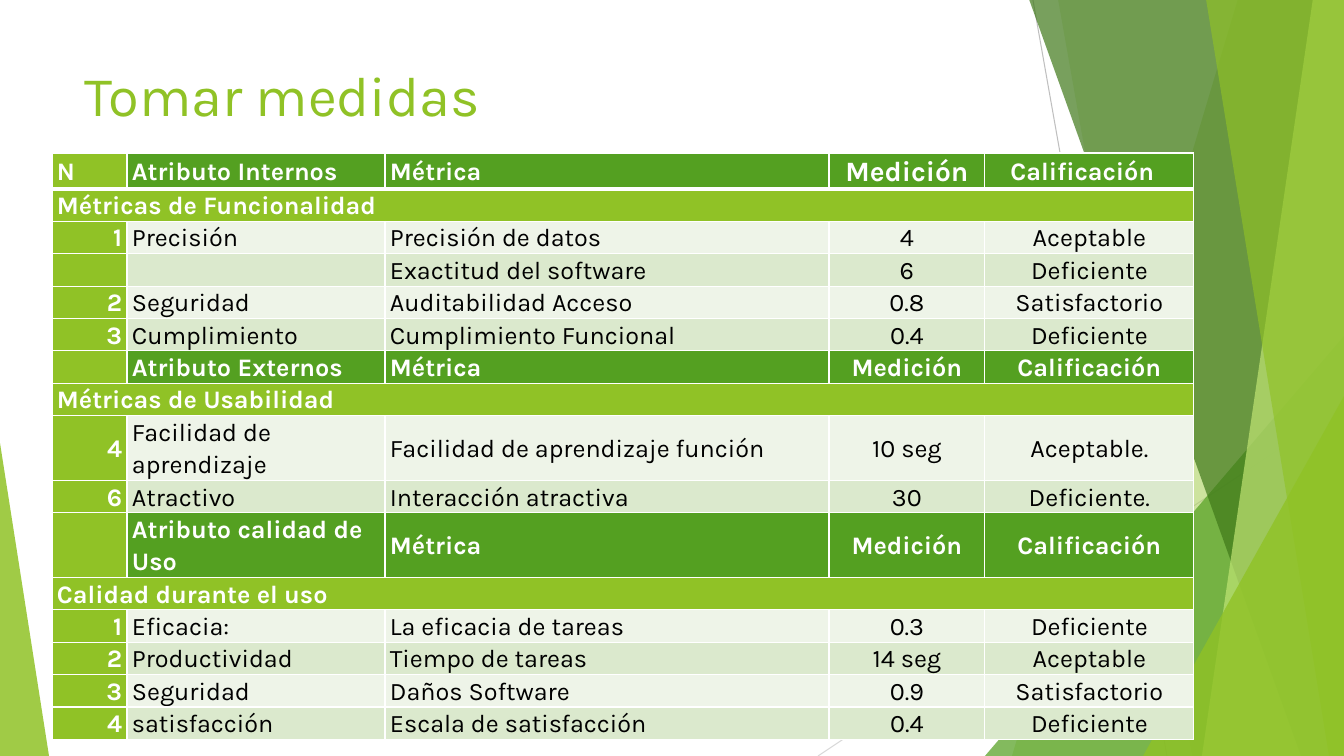
from dataclasses import dataclass
from typing import NamedTuple

from lxml.etree import SubElement as Sub
from pptx import Presentation
from pptx.dml.color import RGBColor as Rgb
from pptx.enum.shapes import MSO_CONNECTOR as Conn, MSO_SHAPE as Kind
from pptx.enum.text import MSO_ANCHOR as Anchor, PP_ALIGN as Align
from pptx.oxml.ns import qn
from pptx.util import Pt

SCALE = 914400 / 100.8
WIDE, HIGH = 1344, 756


@dataclass(frozen=True)
class Theme:
    font: str = "Karla"
    lime: str = "90C226"
    green: str = "54A021"
    moss: str = "3F7819"
    pale: str = "C0E474"
    white: str = "FFFFFF"
    black: str = "000000"
    bands: tuple[str, str] = ("EEF4E8", "DBE9CD")
    title: int = 40
    lead: int = 20
    body: int = 18


T = Theme()


class Ray(NamedTuple):
    start: tuple[int, int]
    end: tuple[int, int]
    color: str


class Strip(NamedTuple):
    """Area from a slanted left edge to the right side of the slide."""
    top: int
    foot: int
    color: str
    alpha: int


class Wedge(NamedTuple):
    box: tuple[int, int, int, int]
    tip: int
    color: str
    alpha: int


class Row(NamedTuple):
    kind: str
    cells: tuple[str, ...]
    high: int = 29


RAYS = (Ray((1033, 0), (1167, HIGH), "BFBFBF"),
        Ray((WIDE, 406), (818, HIGH), "D9D9D9"))

DECOR = (
    Strip(1238, 1012, T.lime, 30),
    Strip(1058, 1192, T.lime, 20),
    Wedge((985, 336, 359, 420), 1, T.green, 72),
    Strip(1029, 1301, T.moss, 70),
    Strip(1313, 1202, T.pale, 70),
    Strip(1206, 1329, T.lime, 65),
    Wedge((1143, 396, 201, 360), 1, T.lime, 80),
    Wedge((0, 443, 49, 313), 0, T.lime, 85),
)

HEADS = ("Métrica", "Medición", "Calificación")
COLS = (75, 258, 444, 156, 209)
ALIGNS = (Align.RIGHT, Align.LEFT, Align.LEFT, Align.CENTER, Align.CENTER)
ROWS = (
    Row("head", ("N", "Atributo Internos", *HEADS)),
    Row("part", ("Métricas de Funcionalidad",)),
    Row("data", ("1", "Precisión", "Precisión de datos", "4", "Aceptable")),
    Row("data", ("", "", "Exactitud del software", "6", "Deficiente")),
    Row("data", ("2", "Seguridad", "Auditabilidad Acceso", "0.8", "Satisfactorio")),
    Row("data", ("3", "Cumplimiento", "Cumplimiento Funcional", "0.4", "Deficiente")),
    Row("head", ("", "Atributo Externos", *HEADS)),
    Row("part", ("Métricas de Usabilidad",)),
    Row("data", ("4", "Facilidad de aprendizaje", "Facilidad de aprendizaje función",
                 "10 seg", "Aceptable."), 60),
    Row("data", ("6", "Atractivo", "Interacción atractiva", "30", "Deficiente."), 32),
    Row("head", ("", "Atributo calidad de Uso", *HEADS), 34),
    Row("part", ("Calidad durante el uso",)),
    Row("data", ("1", "Eficacia:", "La eficacia de tareas", "0.3", "Deficiente")),
    Row("data", ("2", "Productividad", "Tiempo de tareas", "14 seg", "Aceptable")),
    Row("data", ("3", "Seguridad", "Daños Software", "0.9", "Satisfactorio")),
    Row("data", ("4", "satisfacción", "Escala de satisfacción", "0.4", "Deficiente")),
)


def px(n: float) -> int:
    return round(n * SCALE)


def write(frame, text: str, *, size: int = T.body, color: str = T.black,
          bold: bool = False, align=Align.LEFT, lines: float = 1.0, after: int = 0) -> None:
    if not text:
        return
    para = frame.paragraphs[0]
    para.alignment, para.line_spacing, para.space_after = align, lines, Pt(after)
    run = para.add_run()
    run.text = text
    font = run.font
    font.name, font.size, font.bold = T.font, Pt(size), bold
    font.color.rgb = Rgb.from_string(color)


def paint(shape, color: str, alpha: int) -> None:
    shape.shadow.inherit = False
    shape.fill.solid()
    shape.fill.fore_color.rgb = Rgb.from_string(color)
    tint = shape.element.spPr.find(".//" + qn("a:srgbClr"))
    Sub(tint, qn("a:alpha"), val=str(alpha * 1000))
    shape.line.fill.background()


def add_ray(shapes, ray: Ray) -> None:
    line = shapes.add_connector(Conn.STRAIGHT, *map(px, ray.start + ray.end))
    line.line.color.rgb = Rgb.from_string(ray.color)
    line.line.width = Pt(0.75)
    Sub(line.element.spPr, qn("a:effectLst"))


def add_strip(shapes, strip: Strip) -> None:
    form = shapes.build_freeform(strip.top, -1, scale=SCALE)
    form.add_line_segments([(WIDE, -1), (WIDE, HIGH), (strip.foot, HIGH)], close=True)
    paint(form.convert_to_shape(), strip.color, strip.alpha)


def add_wedge(shapes, wedge: Wedge) -> None:
    shape = shapes.add_shape(Kind.ISOSCELES_TRIANGLE, *map(px, wedge.box))
    shape.adjustments[0] = wedge.tip
    paint(shape, wedge.color, wedge.alpha)


def style(cell, fill: str, foot: int = 1, right: int = 5) -> None:
    cell.margin_left, cell.margin_right = px(5), px(right)
    cell.margin_top = cell.margin_bottom = 0
    cell.vertical_anchor = Anchor.MIDDLE
    props = cell._tc.get_or_add_tcPr()
    for side, width in (("L", 1), ("R", 1), ("T", 1), ("B", foot)):
        edge = Sub(props, qn(f"a:ln{side}"), w=str(Pt(width)))
        Sub(Sub(edge, qn("a:solidFill")), qn("a:srgbClr"), val=T.white)
    cell.fill.solid()
    cell.fill.fore_color.rgb = Rgb.from_string(fill)


def add_grid(shapes) -> None:
    high = sum(row.high for row in ROWS)
    grid = shapes.add_table(len(ROWS), len(COLS), px(52), px(153),
                            px(sum(COLS)), px(high)).table
    grid.first_row = grid.horz_banding = False
    for col, wide in zip(grid.columns, COLS):
        col.width = px(wide)
    for r, row in enumerate(ROWS):
        grid.rows[r].height = px(row.high)
        if row.kind == "part":
            grid.cell(r, 0).merge(grid.cell(r, len(COLS) - 1))
        main = T.green if row.kind == "head" else T.bands[r % 2]
        for c in range(len(COLS)):
            cell = grid.cell(r, c)
            lime = c == 0 or row.kind == "part"
            last = r == 0 and c == len(COLS) - 1
            style(cell, T.lime if lime else main, 3 if r == 0 else 1, 19 if last else 5)
            if c < len(row.cells):
                bold = lime or row.kind == "head"
                left = c == 0 and row.kind != "data"
                write(cell.text_frame, row.cells[c], bold=bold,
                      size=T.lead if (r, c) == (0, 3) else T.body,
                      color=T.white if bold else T.black,
                      align=Align.LEFT if left else ALIGNS[c], lines=1.07, after=8)


def main() -> None:
    deck = Presentation()
    deck.slide_width, deck.slide_height = px(WIDE), px(HIGH)
    shapes = deck.slides.add_slide(deck.slide_layouts[6]).shapes

    # Backdrop
    for ray in RAYS:
        add_ray(shapes, ray)
    for item in DECOR:
        if isinstance(item, Strip):
            add_strip(shapes, item)
        else:
            add_wedge(shapes, item)

    # Title
    frame = shapes.add_textbox(px(75), px(56), px(948), px(145)).text_frame
    frame.word_wrap = True
    frame.vertical_anchor = Anchor.TOP
    write(frame, "Tomar medidas", size=T.title, color=T.lime)

    # Measures
    add_grid(shapes)
    deck.save("out.pptx")


if __name__ == "__main__":
    main()
